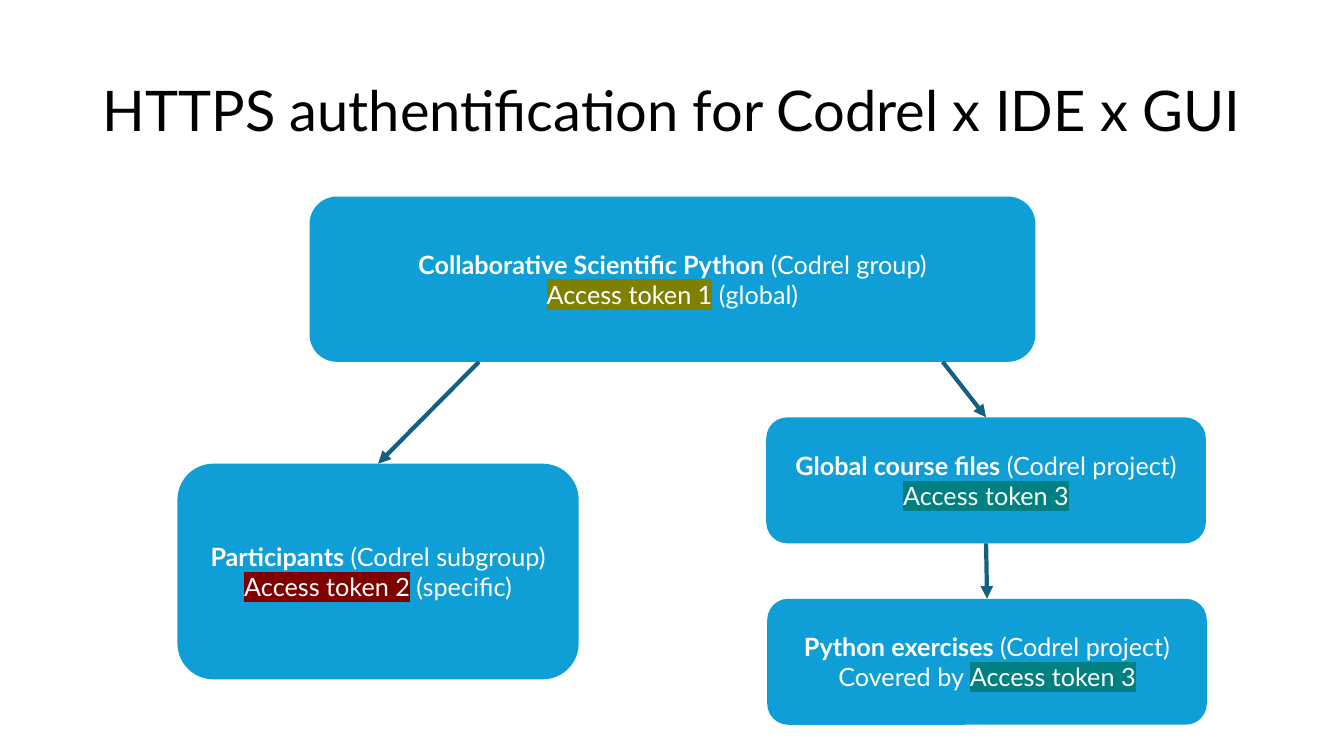
"""Build the slide on HTTPS access tokens."""
from lxml.etree import SubElement
from pptx import Presentation
from pptx.dml.color import RGBColor
from pptx.enum.shapes import MSO_CONNECTOR, MSO_SHAPE
from pptx.enum.text import MSO_ANCHOR, PP_ALIGN
from pptx.oxml import parse_xml
from pptx.oxml.ns import nsdecls, qn
from pptx.util import Inches, Pt

BLACK = RGBColor(0x00, 0x00, 0x00)
WHITE = RGBColor(0xFF, 0xFF, 0xFF)
BLUE = RGBColor(0x0F, 0x9E, 0xD5)
DARK_BLUE = RGBColor(0x15, 0x60, 0x82)
OLIVE = RGBColor(0x80, 0x80, 0x00)
MAROON = RGBColor(0x80, 0x00, 0x00)
TEAL = RGBColor(0x00, 0x80, 0x80)

TITLE_FORMAT = {"name": "Lato", "size": Pt(40)}
PLAIN = {"name": "Lato", "size": Pt(18), "bold": False}
BOLD = PLAIN | {"bold": True}
TOP, BOTTOM = 0, 2


def add_span(para, text, values, color, highlight=None):
    """Add a formatted run, with a highlight if one is given."""
    span = para.add_run()
    span.text = text
    for name, value in values.items():
        setattr(span.font, name, value)
    span.font.color.rgb = color
    if highlight is not None:
        fill = span.font._element.find(qn("a:solidFill"))
        fill.addnext(parse_xml(
            f'<a:highlight {nsdecls("a")}><a:srgbClr val="{highlight}"/></a:highlight>'))


def add_title(page, text):
    """Add the slide title."""
    box = page.shapes.add_textbox(Inches(0.92), Inches(0.4), Inches(11.5), Inches(1.45))
    frame = box.text_frame
    frame.word_wrap = True
    frame.vertical_anchor = MSO_ANCHOR.MIDDLE
    para = frame.paragraphs[0]
    para.line_spacing = 0.9
    add_span(para, text, TITLE_FORMAT, BLACK)


def add_node(page, place, name, role, token_line):
    """Add a rounded box with a name line and a token line."""
    box = page.shapes.add_shape(MSO_SHAPE.ROUNDED_RECTANGLE, *map(Inches, place))
    box.shadow.inherit = False
    box.fill.solid()
    box.fill.fore_color.rgb = BLUE
    box.line.fill.background()
    frame = box.text_frame
    frame.word_wrap = True
    frame.vertical_anchor = MSO_ANCHOR.MIDDLE
    name_para, token_para = frame.paragraphs[0], frame.add_paragraph()
    for para in (name_para, token_para):
        para.alignment = PP_ALIGN.CENTER
    add_span(name_para, name, BOLD, WHITE)
    add_span(name_para, f" ({role})", PLAIN, WHITE)
    for text, highlight in token_line:
        add_span(token_para, text, PLAIN, WHITE, highlight)
    return box


def add_arrow(page, target, start=None, source=None):
    """Add an arrow to the top of a box, from a point or the bottom of a box."""
    x, y = map(Inches, start or (0, 0))
    arrow = page.shapes.add_connector(MSO_CONNECTOR.STRAIGHT, x, y, x, y)
    if source is not None:
        arrow.begin_connect(source, BOTTOM)
    arrow.end_connect(target, TOP)
    arrow.line.color.rgb = DARK_BLUE
    arrow.line.width = Pt(3)
    SubElement(arrow.line._get_or_add_ln(), qn("a:tailEnd"), type="triangle")
    SubElement(arrow._element.spPr, qn("a:effectLst"))


def main():
    """Build and save the deck."""
    deck = Presentation()
    deck.slide_width, deck.slide_height = Inches(13.33), Inches(7.5)
    page = deck.slides.add_slide(deck.slide_layouts[6])
    add_title(page, "HTTPS authentification for Codrel x IDE x GUI")
    add_node(page, (3.07, 1.95, 7.2, 1.64), "Collaborative Scientific Python",
             "Codrel group", [("Access token 1", OLIVE), (" (global)", None)])
    course_files = add_node(page, (7.6, 4.14, 4.36, 1.25), "Global course files",
                            "Codrel project", [("Access token 3", TEAL)])
    participants = add_node(page, (1.76, 4.6, 3.98, 2.14), "Participants",
                            "Codrel subgroup",
                            [("Access token 2", MAROON), (" (specific)", None)])
    exercises = add_node(page, (7.61, 5.94, 4.36, 1.25), "Python exercises",
                         "Codrel project",
                         [("Covered by ", None), ("Access token 3", TEAL)])
    add_arrow(page, participants, start=(4.75, 3.59))
    add_arrow(page, course_files, start=(9.35, 3.59))
    add_arrow(page, exercises, source=course_files)
    deck.save("out.pptx")


if __name__ == "__main__":
    main()
